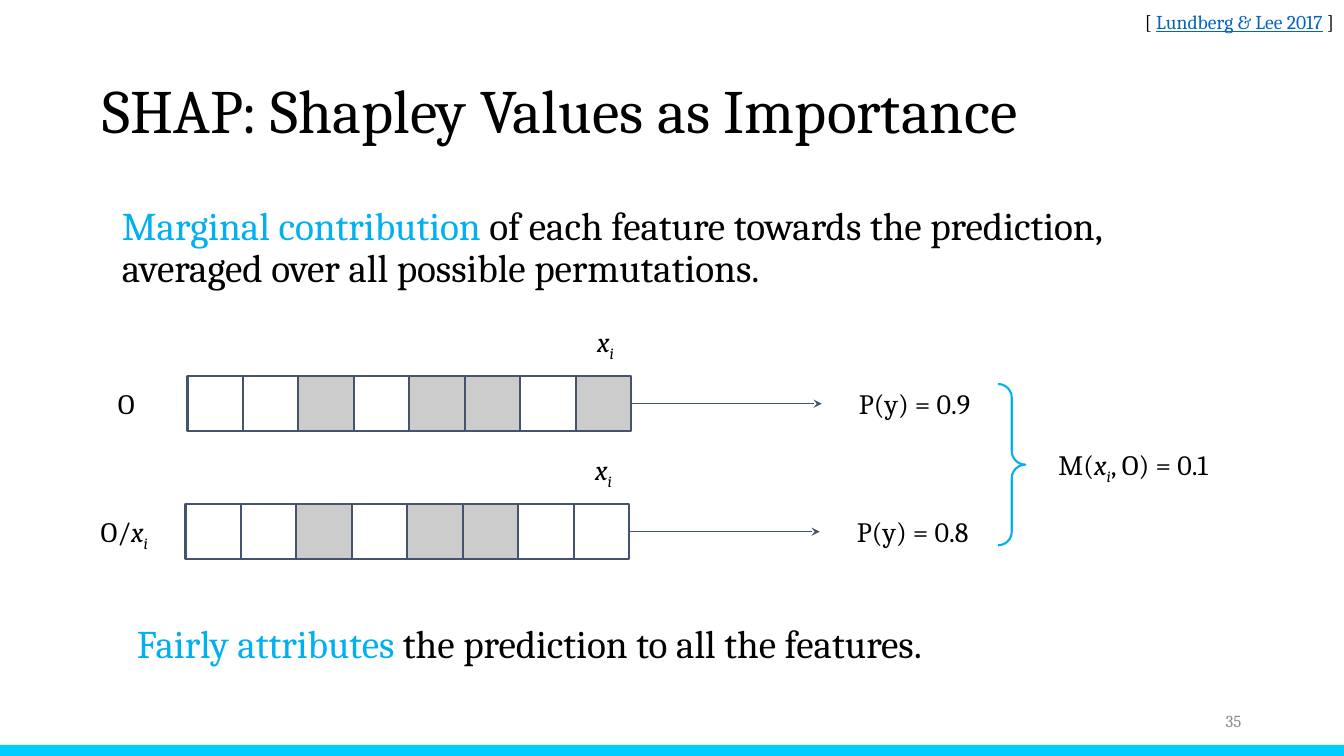
import pptx
import pptx.dml.color
import pptx.enum.shapes
import pptx.enum.text
import pptx.oxml
import pptx.oxml.ns
import pptx.util

Inches = pptx.util.Inches
Pt = pptx.util.Pt
ALIGN = pptx.enum.text.PP_ALIGN
ANCHOR = pptx.enum.text.MSO_ANCHOR
SHAPE = pptx.enum.shapes.MSO_SHAPE

COLORS = {
    "black": "000000",
    "accent": "00B0F0",
    "footer": "00CCFF",
    "outline": "44546A",
    "present": "CCCCCC",
    "link": "0563C1",
    "number": "888888",
}
CELL = 0.55
FEATURE = [("x", {"italic": True}), ("i", {"italic": True, "baseline": -25000})]
ROWS = [
    {"left": 1.86, "top": 3.73, "present": {2, 4, 5, 7},
     "label": [("O", {})], "label_left": 1.07, "label_width": 0.6, "result": "P(y) = 0.9"},
    {"left": 1.84, "top": 5, "present": {2, 4, 5},
     "label": [("O/", {}), *FEATURE], "label_left": 0.9, "label_width": 0.89, "result": "P(y) = 0.8"},
]


def rgb(name):
    return pptx.dml.color.RGBColor.from_string(COLORS[name])


def add_span(para, text, size, values):
    span = para.add_run()
    span.text = text
    formats = {"name": "Cambria", "size": Pt(size), **values}
    color = formats.pop("color", "black")
    baseline = formats.pop("baseline", None)
    for key, value in formats.items():
        setattr(span.font, key, value)
    span.font.color.rgb = rgb(color)
    if baseline:
        span.font._element.set("baseline", str(baseline))


def add_text(page, bounds, paragraphs, size=20, align=ALIGN.LEFT, anchor=ANCHOR.TOP,
             inset=0.1, spacing=1.0, hanging=False):
    box = page.shapes.add_textbox(*map(Inches, bounds))
    frame = box.text_frame
    formats = {"word_wrap": True, "vertical_anchor": anchor,
               "margin_left": Inches(0.1), "margin_right": Inches(0.1),
               "margin_top": Inches(inset), "margin_bottom": Inches(inset)}
    for key, value in formats.items():
        setattr(frame, key, value)
    for index, spans in enumerate(paragraphs):
        para = frame.add_paragraph() if index else frame.paragraphs[0]
        for key, value in {"alignment": align, "line_spacing": spacing}.items():
            setattr(para, key, value)
        if hanging:
            properties = para._p.get_or_add_pPr()
            properties.set("marL", str(Inches(0.25)))
            properties.set("indent", str(Inches(-0.06)))
        for text, values in spans:
            add_span(para, text, size, values)


def add_figure(page, kind, bounds, fill=None, line=None):
    figure = page.shapes.add_shape(kind, *map(Inches, bounds))
    figure.shadow.inherit = False
    if fill:
        figure.fill.solid()
        figure.fill.fore_color.rgb = rgb(fill)
    else:
        figure.fill.background()
    if line:
        figure.line.color.rgb = rgb(line)
        figure.line.width = Pt(1.5)
    else:
        figure.line.fill.background()
    return figure


def add_arrow(page, cell, left, top, length):
    arrow = page.shapes.add_connector(
        pptx.enum.shapes.MSO_CONNECTOR.STRAIGHT,
        Inches(left), Inches(top), Inches(left + length), Inches(top))
    arrow.begin_connect(cell, 3)
    arrow.line.color.rgb = rgb("outline")
    arrow.line.width = Pt(0.75)
    namespace = pptx.oxml.ns.nsdecls("a")
    arrow.line._get_or_add_ln().append(
        pptx.oxml.parse_xml(f'<a:tailEnd {namespace} type="stealth"/>'))
    arrow._element.spPr.append(pptx.oxml.parse_xml(f"<a:effectLst {namespace}/>"))


def add_feature_row(page, row, count=8):
    left, top = row["left"], row["top"]
    for index in range(count):
        fill = "present" if index in row["present"] else None
        cell = add_figure(page, SHAPE.RECTANGLE, (left + index * CELL, top, CELL, CELL),
                          fill, "outline")
    end = left + count * CELL
    add_text(page, (end - 0.53, top - 0.64, CELL, 0.64), [FEATURE],
             align=ALIGN.CENTER, anchor=ANCHOR.MIDDLE)
    add_arrow(page, cell, end, top + CELL / 2, 1.89)
    add_text(page, (end + 2.16, top, 1.62, CELL), [[(row["result"], {})]])
    add_text(page, (row["label_left"], top, row["label_width"], CELL), [row["label"]])


def add_statement(page, left, top, paragraphs):
    add_text(page, (left, top, 11.5, 1.05), paragraphs, size=28,
             inset=0.05, spacing=0.9, hanging=True)


def main():
    deck = pptx.Presentation()
    deck.slide_width, deck.slide_height = Inches(13.33), Inches(7.5)
    page = deck.slides.add_slide(deck.slide_layouts[6])
    highlight = {"color": "accent"}

    add_figure(page, SHAPE.RECTANGLE, (0, 7.39, 13.33, 0.11), "footer")
    add_text(page, (0.92, 0.4, 11.5, 1.45), [[("SHAP: Shapley Values as Importance", {})]],
             size=44, anchor=ANCHOR.MIDDLE, inset=0.05, spacing=0.9)
    add_statement(page, 0.92, 2, [
        [("Marginal contribution", highlight), (" of each feature towards the prediction,", {})],
        [("averaged over all possible permutations.", {})],
    ])
    add_text(page, (9.41, 6.95, 3, 0.4), [[("35", {"color": "number"})]], size=12,
             align=ALIGN.RIGHT, anchor=ANCHOR.MIDDLE, inset=0.05)

    for row in ROWS:
        add_feature_row(page, row)

    brace = add_figure(page, SHAPE.RIGHT_BRACE, (9.9, 3.81, 0.27, 1.6), line="accent")
    brace.adjustments[0] = 0.5
    brace.adjustments[1] = 0.5
    add_text(page, (10.4, 4.34, 2.23, CELL), [[("M(", {}), *FEATURE, (", O) = 0.1", {})]])
    add_statement(page, 1.07, 6.15, [
        [("Fairly attributes", highlight), (" the prediction to all the features.", {})],
    ])
    add_text(page, (10.67, 0, 2.66, 0.4), [[
        ("[ ", {}),
        ("Lundberg & Lee 2017", {"color": "link", "underline": True}),
        (" ]", {}),
    ]], size=14, align=ALIGN.RIGHT)
    deck.save("out.pptx")


if __name__ == "__main__":
    main()
